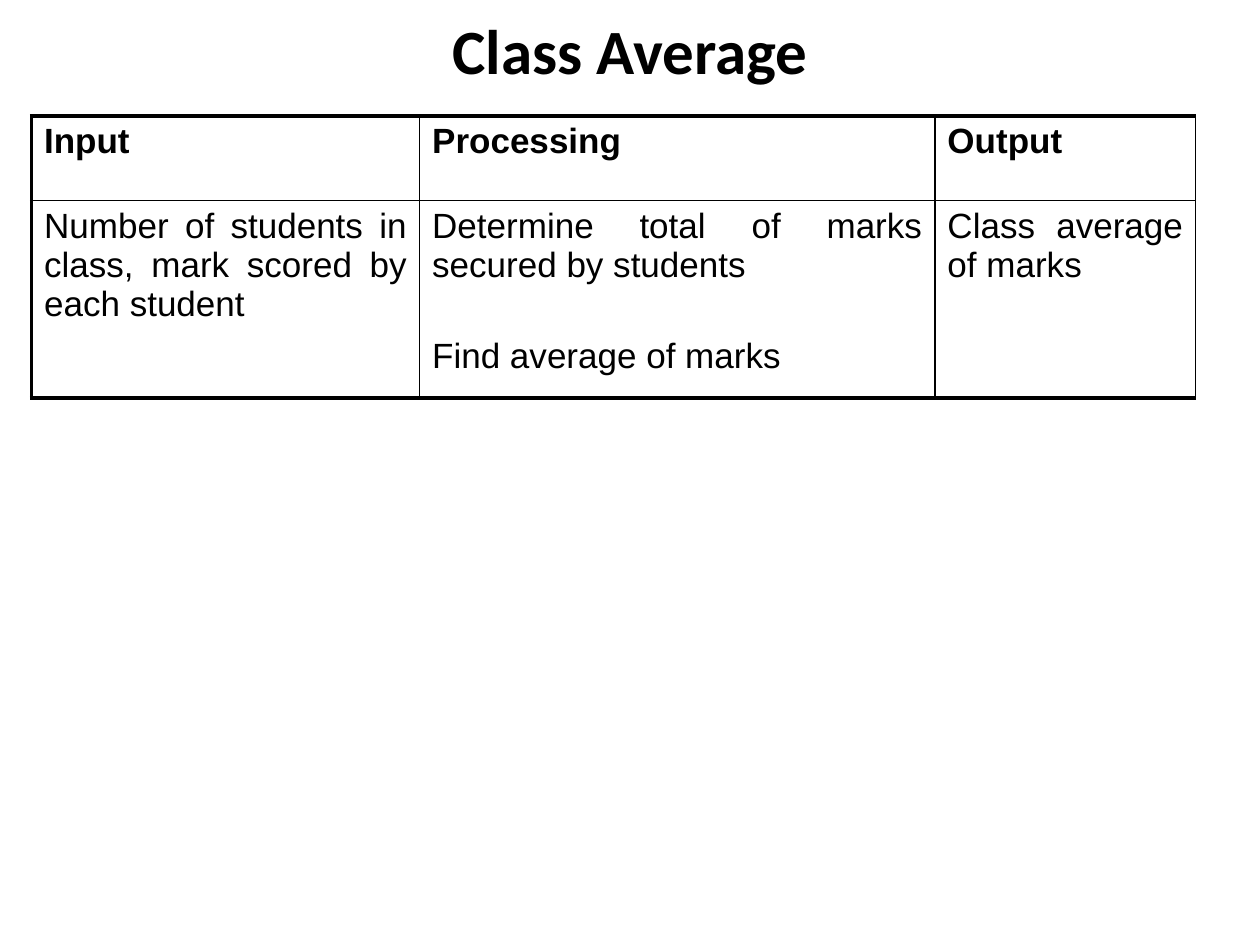
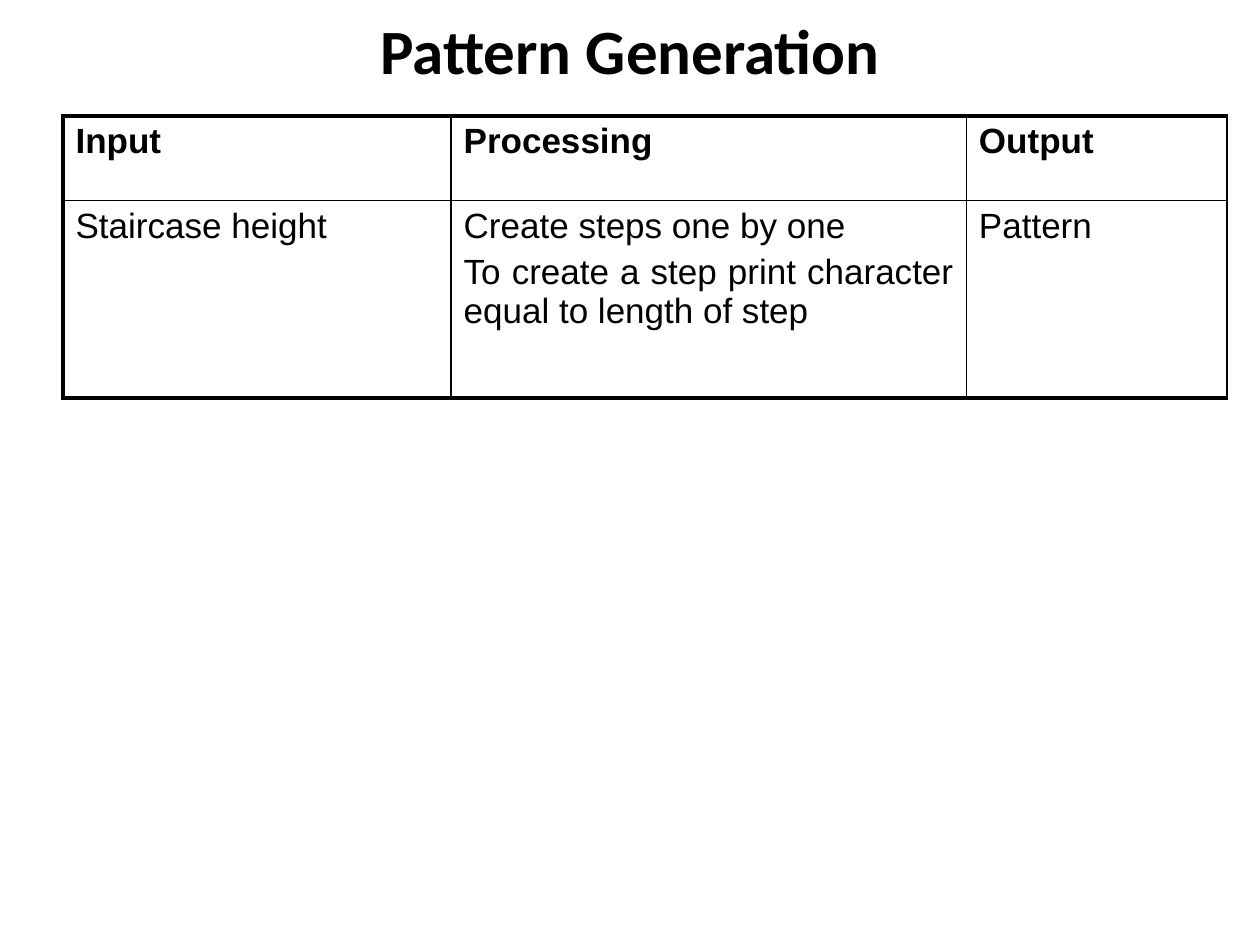
"""Build two slides that each analyse a problem as input, processing and output."""
from lxml.etree import SubElement
from pptx import Presentation
from pptx.dml.color import RGBColor
from pptx.enum.text import MSO_ANCHOR, PP_ALIGN
from pptx.oxml.ns import qn
from pptx.util import Inches, Pt

BLACK = RGBColor(0, 0, 0)
WHITE = RGBColor(255, 255, 255)
THIN, THICK = 1, 2.25
HEADINGS = ["Input", "Processing", "Output"]
COLUMN_WIDTHS = [3.08, 4.09, 2.07]
ROW_HEIGHTS = [0.67, 1.57]

ANALYSES = [
    {
        "title": "Class Average",
        "left": 0.25,
        "step_gap": 30,
        "details": [
            "Number of students in class, mark scored by each student",
            "Determine total of marks secured by students\nFind average of marks",
            "Class average of marks",
        ],
    },
    {
        "title": "Pattern Generation",
        "left": 0.5,
        "step_gap": 4,
        "details": [
            "Staircase height",
            "Create steps one by one\nTo create a step print character equal to length of step",
            "Pattern",
        ],
    },
]


def write_text(frame, text, font="Arial", size=20, bold=False, align=PP_ALIGN.JUSTIFY, gap=0):
    frame.word_wrap = True
    frame.text = text
    for index, paragraph in enumerate(frame.paragraphs):
        paragraph.alignment = align
        paragraph.space_before = Pt(gap if index else 0)
        for run in paragraph.runs:
            run.font.name = font
            run.font.size = Pt(size)
            run.font.bold = bold
            run.font.color.rgb = BLACK


def draw_borders(cell, widths):
    properties = cell._tc.get_or_add_tcPr()
    for side, width in widths.items():
        line = SubElement(properties, qn(f"a:ln{side}"), w=str(Pt(width)))
        fill = SubElement(line, qn("a:solidFill"))
        SubElement(fill, qn("a:srgbClr"), val=str(BLACK))


presentation = Presentation()
presentation.slide_width = Inches(10)
presentation.slide_height = Inches(7.5)

for analysis in ANALYSES:
    slide = presentation.slides.add_slide(presentation.slide_layouts[6])
    slide.background.fill.solid()
    slide.background.fill.fore_color.rgb = WHITE

    title = slide.shapes.add_textbox(Inches(0.5), Inches(0.07), Inches(9), Inches(0.64))
    title.text_frame.vertical_anchor = MSO_ANCHOR.MIDDLE
    write_text(title.text_frame, analysis["title"], font="Calibri", size=36, bold=True,
               align=PP_ALIGN.CENTER)

    table = slide.shapes.add_table(
        len(ROW_HEIGHTS), len(COLUMN_WIDTHS), Inches(analysis["left"]), Inches(0.92),
        Inches(sum(COLUMN_WIDTHS)), Inches(sum(ROW_HEIGHTS))).table
    table.first_row = False
    table.horz_banding = False
    for column, width in zip(table.columns, COLUMN_WIDTHS):
        column.width = Inches(width)
    for row, height in zip(table.rows, ROW_HEIGHTS):
        row.height = Inches(height)

    for row_index, texts in enumerate([HEADINGS, analysis["details"]]):
        is_header = row_index == 0
        for column_index, text in enumerate(texts):
            cell = table.cell(row_index, column_index)
            write_text(cell.text_frame, text, bold=is_header, gap=analysis["step_gap"])
            draw_borders(cell, {
                "L": THICK if column_index == 0 else THIN,
                "R": THIN,
                "T": THICK if is_header else THIN,
                "B": THIN if is_header else THICK,
            })
            cell.fill.background()

presentation.save("out.pptx")
